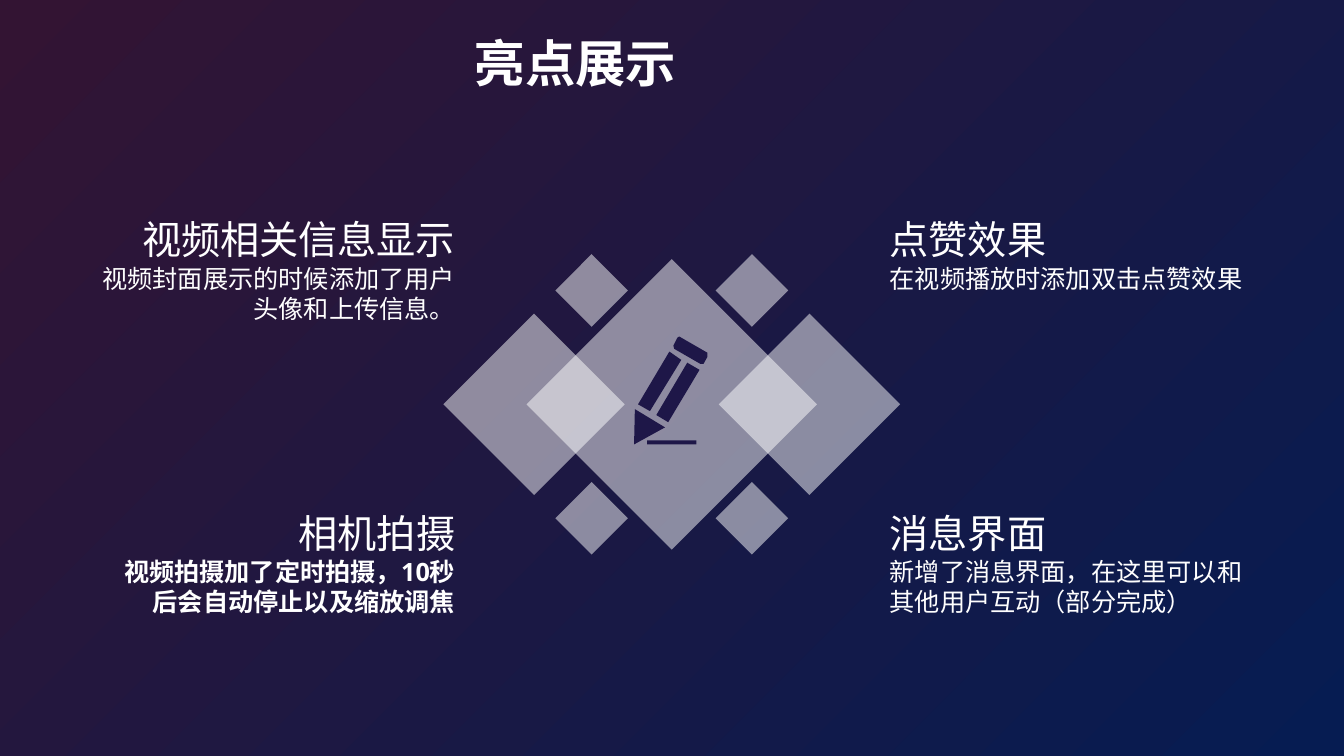
"""Build the highlights slide: a diamond cluster with four captions."""
from lxml import etree
from pptx import Presentation
from pptx.dml.color import RGBColor
from pptx.enum import shapes, text
from pptx.oxml import ns
from pptx.util import Cm, Pt

COLOURS = {
    "white": "FFFFFF",
    "body": "FEFEFE",
    "plum": "331433",
    "navy": "061C52",
    "pencil": "1E1748",
}
CJK_FONT = "Noto Sans CJK SC"


def write(paragraph, words, size, font=CJK_FONT, colour="white", bold=False,
          align=text.PP_ALIGN.LEFT, spacing=None):
    paragraph.alignment = align
    paragraph.line_spacing = spacing
    run = paragraph.add_run()
    run.text = words
    run.font.size = Pt(size)
    run.font.name = font
    run.font.bold = bold
    run.font.color.rgb = RGBColor.from_string(COLOURS[colour])
    east_asian = etree.SubElement(run.font._element, ns.qn("a:ea"))
    east_asian.set("typeface", CJK_FONT)


presentation = Presentation()
presentation.slide_width = Cm(33.87)
presentation.slide_height = Cm(19.05)
slide = presentation.slides.add_slide(presentation.slide_layouts[5])

background = slide.background.fill
background.gradient()
background.gradient_angle = 315
for stop, colour in zip(background.gradient_stops, ("plum", "navy")):
    stop.color.rgb = RGBColor.from_string(COLOURS[colour])
    stop.position = 0 if colour == "plum" else 1

title = slide.shapes.title
title.left, title.top, title.width, title.height = Cm(11.71), Cm(0.66), Cm(9.83), Cm(1.83)
title.text_frame.vertical_anchor = text.MSO_ANCHOR.TOP
title.text_frame.auto_size = text.MSO_AUTO_SIZE.NONE
write(title.text_frame.paragraphs[0], "亮点展示", 36, font="Calibri", bold=True,
      align=text.PP_ALIGN.JUSTIFY, spacing=Pt(44))

captions = [
    ("视频相关信息显示", "视频封面展示的时候添加了用户头像和上传信息。", 2.29, 5.26, {}),
    ("相机拍摄", "视频拍摄加了定时拍摄，10秒后会自动停止以及缩放调焦", 2.29, 12.65,
     {"font": "Open Sans", "colour": "white", "bold": True}),
    ("点赞效果", "在视频播放时添加双击点赞效果", 22.17, 5.26, {}),
    ("消息界面", "新增了消息界面，在这里可以和其他用户互动（部分完成）", 22.17, 12.65, {}),
]
for heading, detail, left, top, style in captions:
    frame = slide.shapes.add_textbox(Cm(left), Cm(top), Cm(9.43), Cm(3)).text_frame
    frame.word_wrap = True
    align = text.PP_ALIGN.RIGHT if left < 10 else text.PP_ALIGN.LEFT
    write(frame.paragraphs[0], heading, 28, align=align, spacing=Pt(35))
    write(frame.add_paragraph(), detail, 18, align=align, spacing=Pt(21.8),
          **{"colour": "body", **style})

centre_x, centre_y = 16.93, 10.19
diamonds = [(side * 3.47, 0, 4.57) for side in (1, -1)]
diamonds += [(x * 2.02, y * 2.87, 1.83) for x in (-1, 1) for y in (-1, 1)]
diamonds.append((0, 0, 7.32))
for offset_x, offset_y, size in diamonds:
    diamond = slide.shapes.add_shape(
        shapes.MSO_SHAPE.DIAMOND,
        Cm(centre_x + offset_x - size / 2), Cm(centre_y + offset_y - size / 2),
        Cm(size), Cm(size))
    diamond.shadow.inherit = False
    diamond.line.fill.background()
    diamond.fill.solid()
    diamond.fill.fore_color.rgb = RGBColor.from_string(COLOURS["white"])
    fill_colour = diamond._element.spPr.find(ns.qn("a:solidFill"))[0]
    etree.SubElement(fill_colour, ns.qn("a:alpha")).set("val", "50000")

underline = [(1631, 1110), (1755, 1110), (1755, 1120), (1631, 1120)]
pencil_parts = {
    "tip": [(1600, 1031), (1676, 1077), (1598, 1120)],
    "right barrel": [(1732, 914), (1763, 932), (1684, 1064), (1654, 1046)],
    "left barrel": [(1687, 886), (1717, 907), (1638, 1036), (1608, 1019)],
    "eraser": [(1712, 848), (1717, 851), (1783, 889), (1783, 899), (1773, 917),
               (1765, 917), (1699, 879), (1697, 871), (1707, 851)],
}
builder = slide.shapes.build_freeform(*underline[0], scale=Cm(0.01))
builder.add_line_segments(underline[1:], close=True)
for outline in pencil_parts.values():
    builder.move_to(*outline[0])
    builder.add_line_segments(outline[1:], close=True)
pencil = builder.convert_to_shape()
pencil.shadow.inherit = False
pencil.line.fill.background()
pencil.fill.solid()
pencil.fill.fore_color.rgb = RGBColor.from_string(COLOURS["pencil"])

presentation.save("out.pptx")
